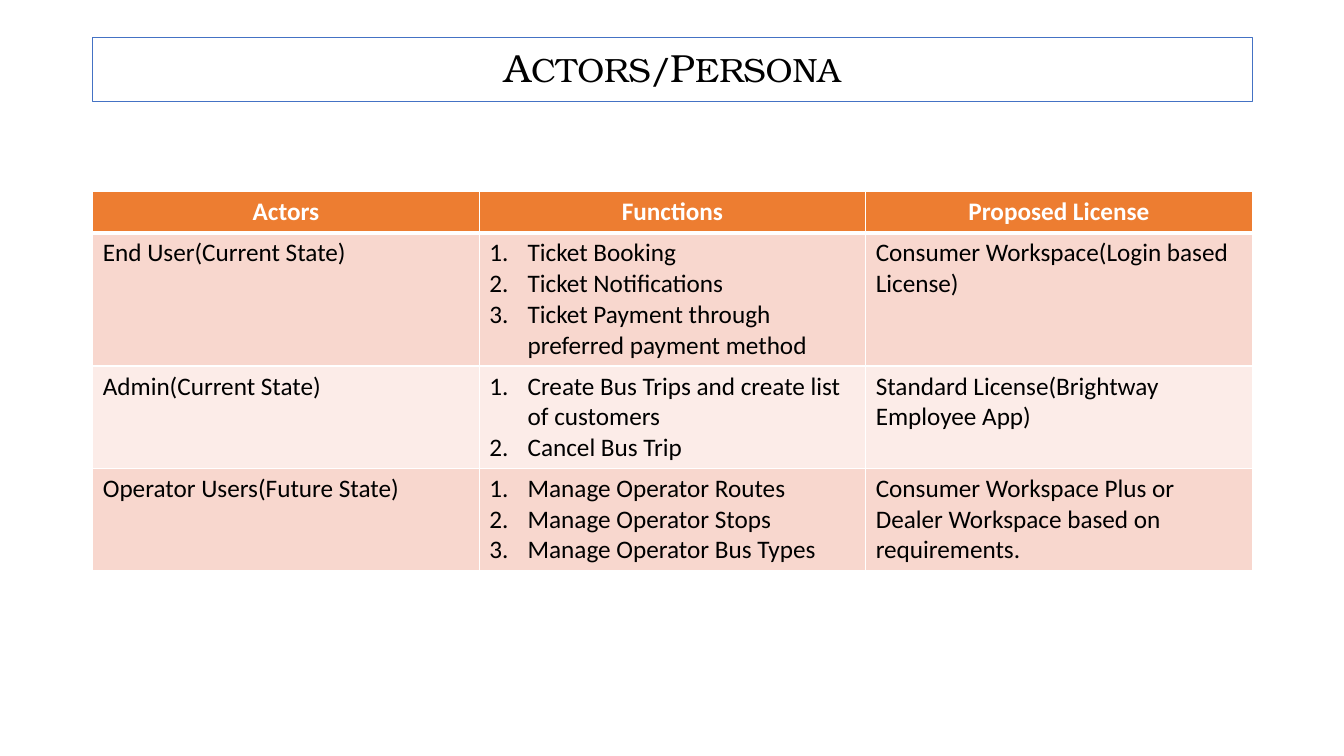
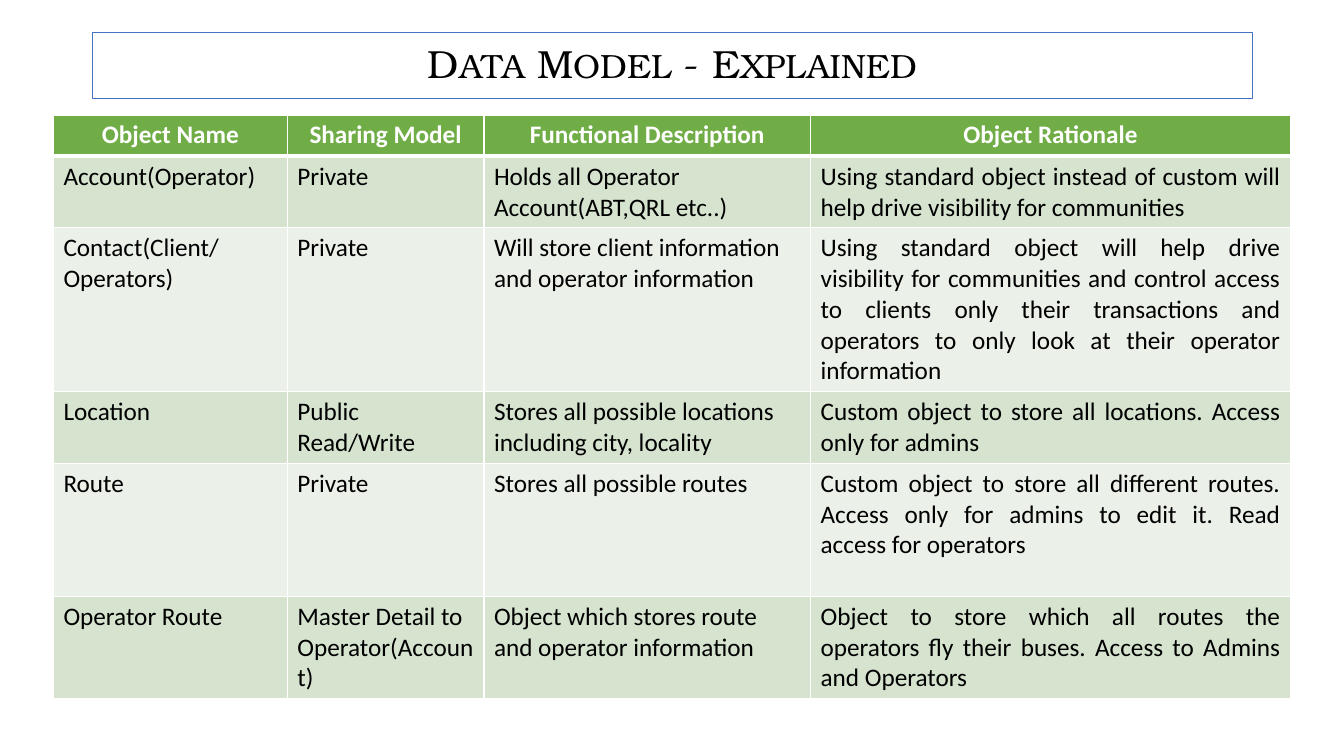
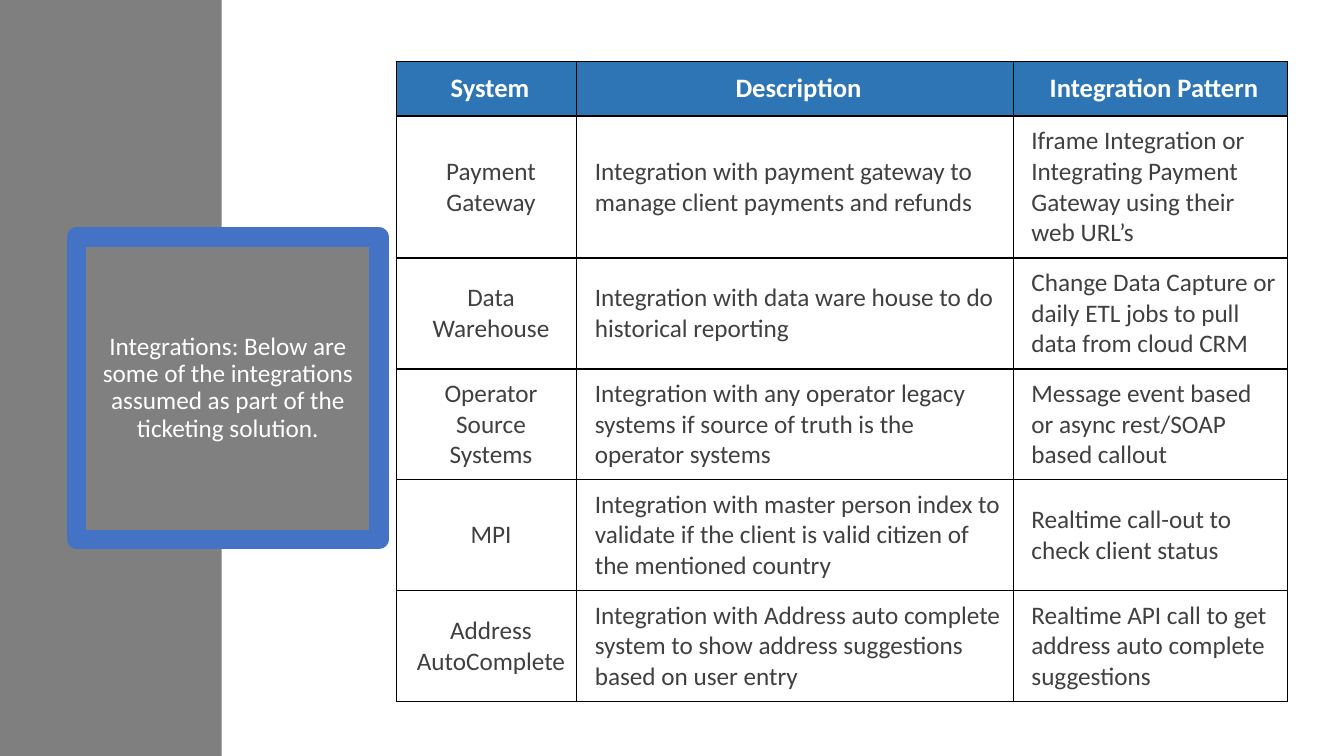
from itertools import groupby

from lxml.etree import SubElement
from pptx import Presentation
from pptx.dml.color import RGBColor
from pptx.enum.shapes import MSO_SHAPE
from pptx.enum.text import MSO_ANCHOR, MSO_AUTO_SIZE, PP_ALIGN
from pptx.oxml import parse_xml
from pptx.oxml.ns import nsdecls, qn
from pptx.util import Inches, Pt

WHITE = RGBColor(0xFF, 0xFF, 0xFF)
BLACK = RGBColor(0x00, 0x00, 0x00)
BLUE = RGBColor(0x44, 0x72, 0xC4)
DEEP_BLUE = RGBColor(0x2E, 0x75, 0xB6)
ORANGE = RGBColor(0xED, 0x7D, 0x31)
PEACH = RGBColor(0xF8, 0xD7, 0xCE)
PALE_PEACH = RGBColor(0xFC, 0xEC, 0xE8)
GREEN = RGBColor(0x70, 0xAD, 0x47)
SAGE = RGBColor(0xD5, 0xE3, 0xCF)
PALE_SAGE = RGBColor(0xEB, 0xF1, 0xE9)
BAND_GRAY = RGBColor(0x7F, 0x7F, 0x7F)
PANEL_GRAY = RGBColor(0x80, 0x80, 0x80)
TEXT_GRAY = RGBColor(0x40, 0x40, 0x40)
TITLE_FONT = "TeX Gyre Bonum"
BODY_FONT = "Calibri"
LEFT, CENTER, JUSTIFY = PP_ALIGN.LEFT, PP_ALIGN.CENTER, PP_ALIGN.JUSTIFY

ACTORS = [
    ["Actors", "Functions", "Proposed License"],
    ["End User(Current State)",
     ["Ticket Booking", "Ticket Notifications",
      "Ticket Payment through preferred payment method"],
     "Consumer Workspace(Login based License)"],
    ["Admin(Current State)",
     ["Create Bus Trips and create list of customers", "Cancel Bus Trip"],
     "Standard License(Brightway Employee App)"],
    ["Operator Users(Future State)",
     ["Manage Operator Routes", "Manage Operator Stops", "Manage Operator Bus Types"],
     "Consumer Workspace Plus or Dealer Workspace based on requirements."],
]
DATA_MODEL = [
    ["Object Name", "Sharing Model", "Functional Description", "Object Rationale"],
    ["Account(Operator)", "Private", "Holds all Operator Account(ABT,QRL etc..)",
     "Using standard object instead of custom will help drive visibility for communities"],
    ["Contact(Client/Operators)", "Private",
     "Will store client information and operator information",
     "Using standard object will help drive visibility for communities and control access "
     "to clients only their transactions and operators to only look at their operator "
     "information"],
    ["Location", "Public Read/Write",
     "Stores all possible locations including city, locality",
     "Custom object to store all locations. Access only for admins"],
    ["Route", "Private", "Stores all possible routes",
     "Custom object to store all different routes. Access only for admins to edit it. "
     "Read access for operators"],
    ["Operator Route", "Master Detail to Operator(Account)",
     "Object which stores route and operator information",
     "Object to store which all routes the operators fly their buses. "
     "Access to Admins and Operators"],
]
INTEGRATIONS = [
    ["System", "Description", "Integration Pattern"],
    ["Payment Gateway",
     "Integration with payment gateway to manage client payments and refunds",
     "Iframe Integration or Integrating Payment Gateway using their web URL’s"],
    ["Data Warehouse", "Integration with data ware house to do historical reporting",
     "Change Data Capture or daily ETL jobs to pull data from cloud CRM"],
    ["Operator Source Systems",
     "Integration with any operator legacy systems if source of truth is the operator systems",
     "Message event based or async rest/SOAP based callout"],
    ["MPI",
     "Integration with master person index to validate if the client is valid citizen "
     "of the mentioned country",
     "Realtime call-out to check client status"],
    ["Address AutoComplete",
     "Integration with Address auto complete system to show address suggestions "
     "based on user entry",
     "Realtime API call to get address auto complete suggestions"],
]


def add_run(paragraph, text, size, color, font=BODY_FONT, bold=False):
    """Append one formatted run to a paragraph."""
    run = paragraph.add_run()
    run.text = text
    run.font.size = Pt(size)
    run.font.name = font
    run.font.bold = bold
    run.font.color.rgb = color


def format_title(slide, box, fill, line_width):
    """Place and outline the title and return its centred paragraph."""
    title = slide.shapes.title
    title.left, title.top, title.width, title.height = map(Inches, box)
    title.fill.solid()
    title.fill.fore_color.rgb = fill
    title.line.color.rgb = BLUE
    title.line.width = Pt(line_width)
    title.text_frame.word_wrap = True
    title.text_frame.auto_size = MSO_AUTO_SIZE.NONE
    title.text_frame.vertical_anchor = MSO_ANCHOR.MIDDLE
    paragraph = title.text_frame.paragraphs[0]
    paragraph.alignment = CENTER
    paragraph.line_spacing = 0.9
    return paragraph


def add_caps_title(slide, text, top, height):
    """Write a boxed title in large and small capitals."""
    paragraph = format_title(slide, (0.92, top, 11.5, height), WHITE, 1)
    for small, letters in groupby(text, lambda letter: letter.islower() or letter == "/"):
        add_run(paragraph, "".join(letters).upper(), 24 if small else 28, BLACK, TITLE_FONT)


def number_paragraph(paragraph):
    """Give a paragraph automatic numbering with a hanging indent."""
    properties = paragraph._p.get_or_add_pPr()
    properties.set("marL", str(Inches(0.38)))
    properties.set("indent", str(-Inches(0.38)))
    SubElement(properties, qn("a:buFont"), typeface="+mj-lt")
    SubElement(properties, qn("a:buAutoNum"), type="arabicPeriod")


def set_borders(cell, color, top=1, bottom=1):
    """Draw the four edges of a cell."""
    properties = cell._tc.get_or_add_tcPr()
    for place, (edge, width) in enumerate(
            [("lnL", 1), ("lnR", 1), ("lnT", top), ("lnB", bottom)]):
        properties.insert(place, parse_xml(
            f'<a:{edge} {nsdecls("a")} w="{Pt(width)}"><a:solidFill>'
            f'<a:srgbClr val="{color}"/></a:solidFill></a:{edge}>'))


def fill_cell(cell, content, fill, alignment, **font):
    """Colour a cell and write its text, numbering a list of items."""
    cell.fill.solid()
    cell.fill.fore_color.rgb = fill
    numbered = isinstance(content, list)
    for index, text in enumerate(content if numbered else [content]):
        frame = cell.text_frame
        paragraph = frame.add_paragraph() if index else frame.paragraphs[0]
        paragraph.alignment = alignment
        if numbered:
            number_paragraph(paragraph)
        add_run(paragraph, text, **font)


def add_grid(slide, rows, origin, widths, heights, header_fill, body_fills, alignments,
             text_color=BLACK, border=WHITE, header_size=18, rule=3, padded=False):
    """Add a table with a coloured header and alternating body rows."""
    table = slide.shapes.add_table(
        len(rows), len(widths), *map(Inches, (*origin, sum(widths), sum(heights)))).table
    for column, width in zip(table.columns, widths):
        column.width = Inches(width)
    for number, (row, height, contents) in enumerate(zip(table.rows, heights, rows)):
        row.height = Inches(height)
        for cell, content, alignment in zip(row.cells, contents, alignments):
            if number == 0:
                fill_cell(cell, content, header_fill, CENTER,
                          size=header_size, color=WHITE, bold=True)
            else:
                fill_cell(cell, content, body_fills[(number - 1) % len(body_fills)],
                          alignment, size=18, color=text_color)
            set_borders(cell, border, top=rule if number == 1 else 1,
                        bottom=rule if number == 0 else 1)
            if padded:
                margin = Inches(0.09 if number else 0.11)
                cell.margin_left = Inches(0.18)
                cell.margin_right = cell.margin_top = cell.margin_bottom = margin
                cell.vertical_anchor = MSO_ANCHOR.MIDDLE if number else MSO_ANCHOR.TOP


def add_side_band(slide):
    """Add the gray band behind everything at the left edge."""
    band = slide.shapes.add_shape(MSO_SHAPE.RECTANGLE, 0, 0, Inches(2.2), Inches(7.5))
    band.shadow.inherit = False
    band.fill.solid()
    band.fill.fore_color.rgb = BAND_GRAY
    band.line.fill.background()
    slide.shapes._spTree.insert(2, band._element)


def build_actors(slide):
    """Build the actors slide."""
    add_caps_title(slide, "Actors/Persona", 0.37, 0.64)
    add_grid(slide, ACTORS, (0.92, 1.9), [11.5 / 3] * 3, [0.41, 1.31, 1.01, 1.01],
             ORANGE, [PEACH, PALE_PEACH], [LEFT] * 3)


def build_data_model(slide):
    """Build the data model slide."""
    add_caps_title(slide, "Data Model - Explained", 0.32, 0.66)
    add_grid(slide, DATA_MODEL, (0.53, 1.14), [2.32, 1.95, 3.24, 4.76],
             [0.41, 0.71, 1.62, 0.71, 1.32, 1.01], GREEN, [SAGE, PALE_SAGE],
             [LEFT, LEFT, LEFT, JUSTIFY])


def build_integrations(slide):
    """Build the integrations slide."""
    add_side_band(slide)
    paragraph = format_title(slide, (0.76, 2.35, 3, 3), PANEL_GRAY, 13.75)
    add_run(paragraph, "Integrations: Below are some of the integrations assumed "
            "as part of the ticketing solution.", 18, WHITE)
    add_grid(slide, INTEGRATIONS, (3.93, 0.61), [1.79, 4.33, 2.72],
             [0.53, 1.41] + [1.1] * 4, DEEP_BLUE, [WHITE], [CENTER, LEFT, LEFT],
             text_color=TEXT_GRAY, border=BLACK, header_size=19, rule=1, padded=True)


def main():
    """Create and save the presentation."""
    deck = Presentation()
    deck.slide_width, deck.slide_height = Inches(13.33), Inches(7.5)
    for build in (build_actors, build_data_model, build_integrations):
        build(deck.slides.add_slide(deck.slide_layouts[5]))
    deck.save("out.pptx")


if __name__ == "__main__":
    main()
